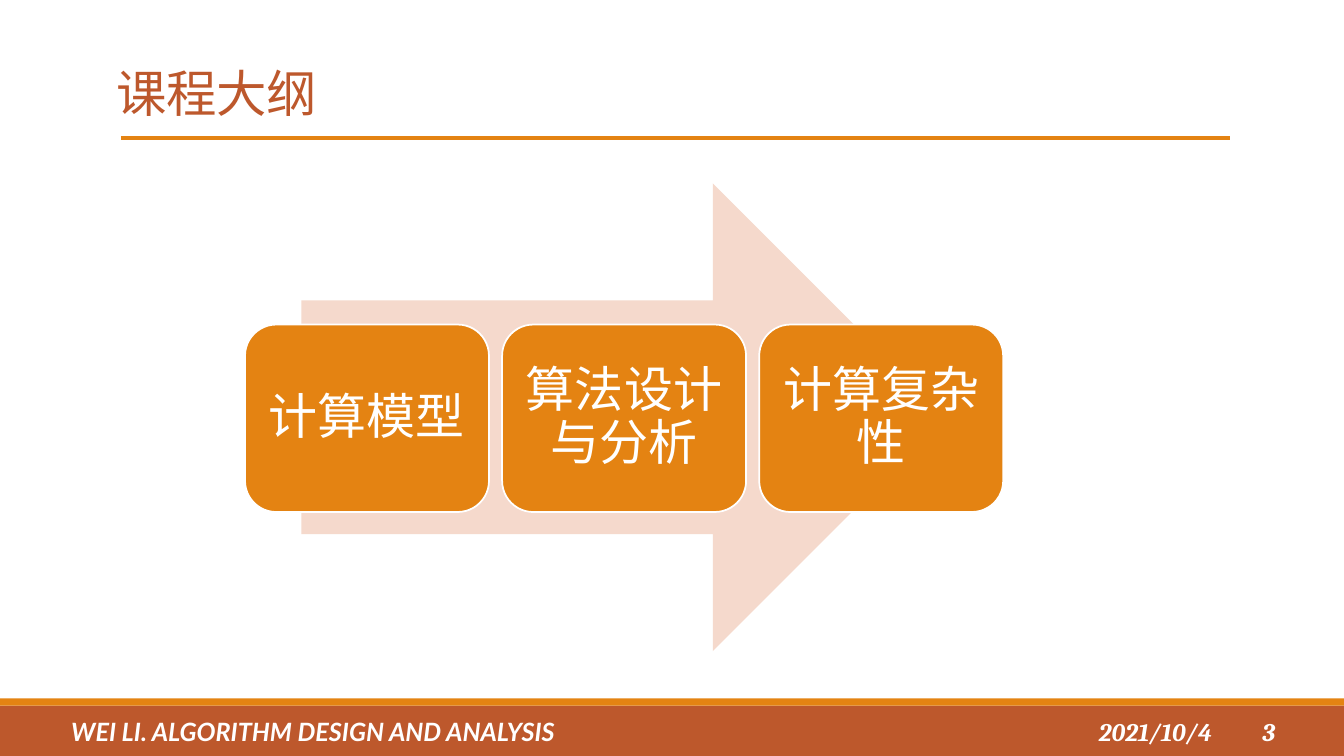
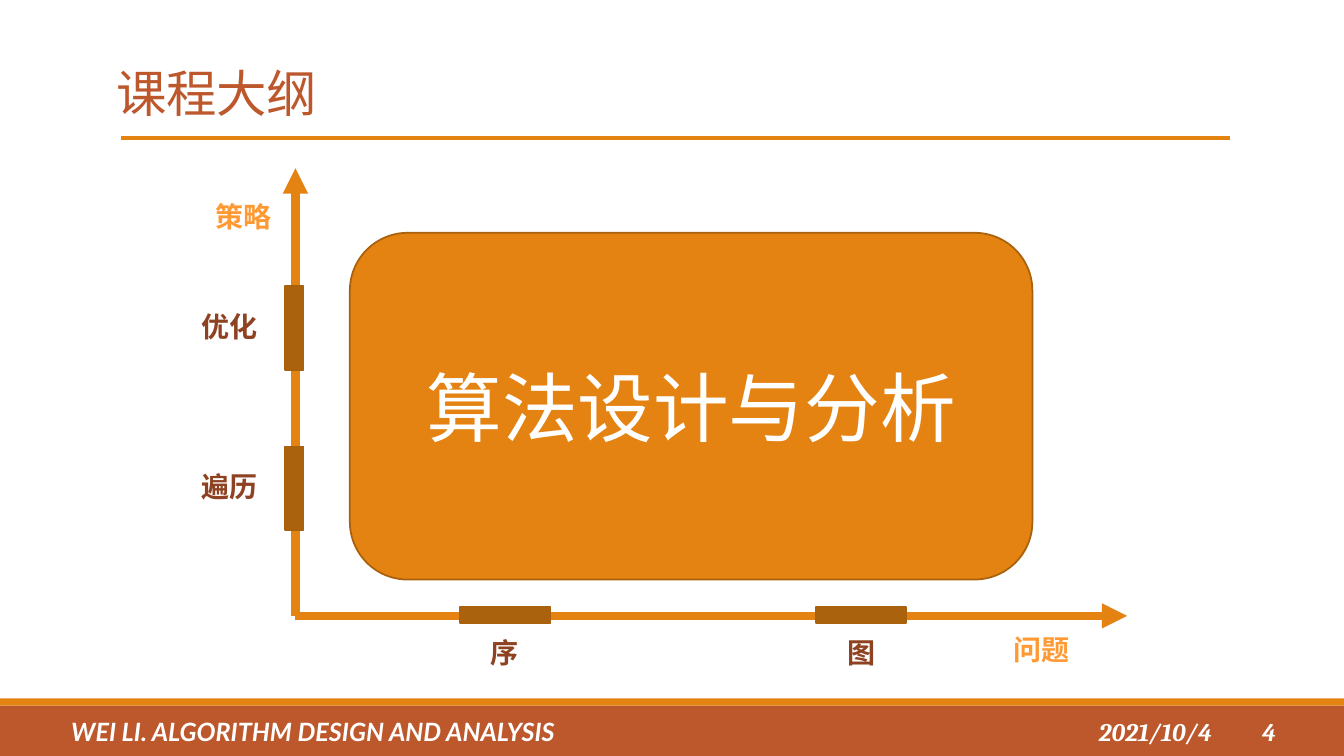
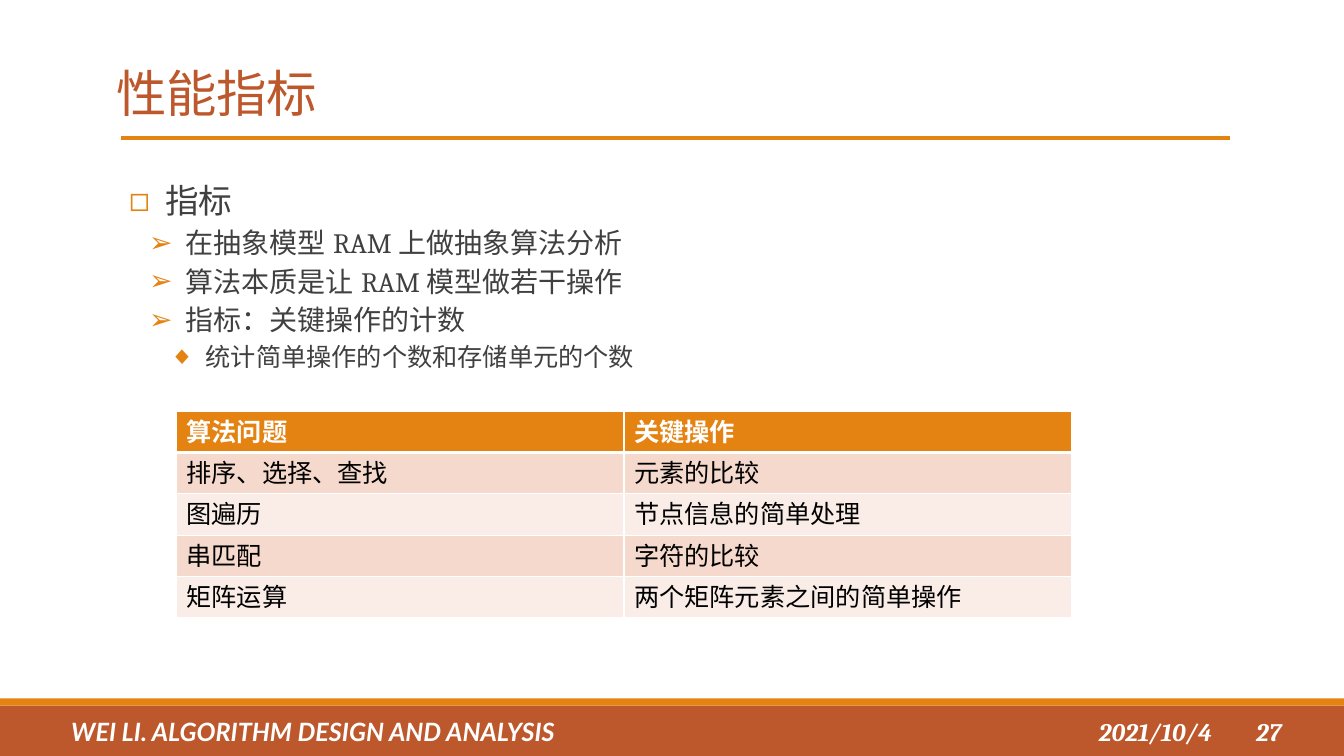
from pptx import Presentation
from pptx.dml.color import RGBColor
from pptx.enum.lang import MSO_LANGUAGE_ID
from pptx.enum.shapes import MSO_CONNECTOR, MSO_SHAPE
from pptx.enum.text import MSO_ANCHOR, MSO_AUTO_SIZE, PP_ALIGN
from pptx.oxml.ns import qn
from pptx.util import Inches, Pt
from lxml import etree

RUST = RGBColor(0xBD, 0x58, 0x2C)
ORANGE = RGBColor(0xE4, 0x83, 0x12)
BROWN = RGBColor(0xAB, 0x62, 0x0D)
EDGE = RGBColor(0xA9, 0x61, 0x0D)
AMBER = RGBColor(0xFF, 0x99, 0x33)
CHESTNUT = RGBColor(0x8E, 0x42, 0x21)
PEACH = RGBColor(0xF5, 0xD9, 0xCC)
PALE = RGBColor(0xFA, 0xED, 0xE7)
GRAY = RGBColor(0x40, 0x40, 0x40)
BLACK = RGBColor(0, 0, 0)
WHITE = RGBColor(0xFF, 0xFF, 0xFF)
SERIF, SANS = "Cambria", "Lato"
CHINESE = MSO_LANGUAGE_ID.SIMPLIFIED_CHINESE
LEFT, CENTER = PP_ALIGN.LEFT, PP_ALIGN.CENTER
TOP, MIDDLE, BOTTOM = MSO_ANCHOR.TOP, MSO_ANCHOR.MIDDLE, MSO_ANCHOR.BOTTOM
NO_FIT = MSO_AUTO_SIZE.NONE
RECT, ROUNDED, ARROW = MSO_SHAPE.RECTANGLE, MSO_SHAPE.ROUNDED_RECTANGLE, MSO_SHAPE.RIGHT_ARROW
STRAIGHT = MSO_CONNECTOR.STRAIGHT


def write(p, text, size, color, bold=False, italic=False, font=SERIF):
    r = p.add_run()
    r.text = text
    r.font.size = Pt(size)
    r.font.bold = bold
    r.font.italic = italic
    r.font.color.rgb = color
    r.font.name = font
    r.font.language_id = CHINESE
    rPr = r._r.get_or_add_rPr()
    etree.SubElement(rPr, qn("a:ea"), typeface=SANS)
    return rPr


def draw(s, kind, box, fill=None, line=None, width=1.25):
    if fill is None:
        sp = s.shapes.add_connector(kind, *map(Inches, box))
        etree.SubElement(sp._element.spPr, qn("a:effectLst"))
    else:
        sp = s.shapes.add_shape(kind, *map(Inches, box))
        sp.shadow.inherit = False
        sp.fill.solid()
        sp.fill.fore_color.rgb = fill
    if line is None:
        sp.line.fill.background()
    else:
        sp.line.color.rgb = line
        sp.line.width = Pt(width)
    return sp


prs = Presentation()
prs.slide_width = Inches(13.33)
prs.slide_height = Inches(7.5)

slides = []
for title, number, layout in [("课程大纲", "3", 5), ("课程大纲", "4", 5), ("性能指标", "27", 1)]:
    s = prs.slides.add_slide(prs.slide_layouts[layout])
    slides.append(s)
    sp = s.shapes.title
    sp.left, sp.top, sp.width, sp.height = map(Inches, (1.06, 0.31, 11.14, 0.96))
    tf = sp.text_frame
    tf.auto_size = NO_FIT
    tf.vertical_anchor = BOTTOM
    p = tf.paragraphs[0]
    p.alignment = LEFT
    p.line_spacing = 0.85
    write(p, title, 36, RUST).set("spc", "-50")
    for box, text, font in [
        ((10.7, 7.01, 1.52, 0.49), "2021/10/4", SERIF),
        ((0.02, 7.01, 6.17, 0.49), "WEI LI. ALGORITHM DESIGN AND ANALYSIS", SANS),
        ((12.21, 7.02, 0.75, 0.48), number, SERIF),
    ]:
        tf = s.shapes.add_textbox(*map(Inches, box)).text_frame
        tf.word_wrap = True
        tf.vertical_anchor = MIDDLE
        p = tf.paragraphs[0]
        p.alignment = CENTER
        write(p, text, 18, WHITE, True, True, font)

outline, axes, metrics = slides

master_tree = prs.slide_master.shapes.element
for sp in [
    draw(outline, RECT, (0, 7, 13.33, 0.5), RUST),
    draw(outline, RECT, (0, 6.93, 13.33, 0.07), ORANGE),
    draw(outline, STRAIGHT, (1.2, 1.37, 12.2, 1.37), line=ORANGE, width=2.25),
]:
    master_tree.append(sp.element)

draw(outline, ARROW, (2.99, 1.82, 6.4, 4.64), PEACH)
for i, topic in enumerate(["计算模型", "算法设计与分析", "计算复杂性"]):
    sp = draw(outline, ROUNDED, (2.43 + 2.55 * i, 3.22, 2.42, 1.86), ORANGE, WHITE)
    tf = sp.text_frame
    tf.word_wrap = True
    tf.margin_left = tf.margin_right = Inches(0.14)
    tf.vertical_anchor = MIDDLE
    p = tf.paragraphs[0]
    p.alignment = CENTER
    p.line_spacing = 0.9
    write(p, topic, 35, WHITE)

for end in [(11.18, 6.11), (2.93, 1.67)]:
    axis = draw(axes, STRAIGHT, (2.93, 6.11, *end), line=ORANGE, width=6)
    etree.SubElement(axis.line._get_or_add_ln(), qn("a:tailEnd"), type="triangle")
for x in (4.56, 8.09):
    draw(axes, RECT, (x, 6.02, 0.9, 0.16), BROWN, EDGE)
for y in (4.43, 2.84):
    draw(axes, RECT, (2.83, y, 0.18, 0.83), BROWN, EDGE)
for x, y, width, text, color in [
    (9.95, 6.23, 0.77, "问题", AMBER),
    (2.04, 1.93, 0.77, "策略", AMBER),
    (1.9, 4.61, 0.77, "遍历", CHESTNUT),
    (1.9, 3.02, 0.77, "优化", CHESTNUT),
    (4.77, 6.26, 0.48, "序", CHESTNUT),
    (8.31, 6.26, 0.48, "图", CHESTNUT),
]:
    tf = axes.shapes.add_textbox(*map(Inches, (x, y, width, 0.44))).text_frame
    tf.word_wrap = False
    write(tf.paragraphs[0], text, 20, color, True)
sp = draw(axes, ROUNDED, (3.47, 2.31, 6.77, 3.44), ORANGE, EDGE)
tf = sp.text_frame
tf.vertical_anchor = MIDDLE
p = tf.paragraphs[0]
p.alignment = CENTER
write(p, "算法设计与分析", 54, WHITE)

body = metrics.placeholders[1]
body.left, body.top, body.width, body.height = map(Inches, (1.06, 1.78, 11.14, 4.61))
tf = body.text_frame
tf.auto_size = NO_FIT
tf.vertical_anchor = TOP
tf.margin_left = tf.margin_right = 0
LEVELS = [("◻", 24), ("➢", 20), ("◆", 18)]
for i, (level, text) in enumerate([
    (0, "指标"),
    (1, "在抽象模型 RAM 上做抽象算法分析"),
    (1, "算法本质是让 RAM 模型做若干操作"),
    (1, "指标：关键操作的计数"),
    (2, "统计简单操作的个数和存储单元的个数"),
]):
    p = tf.add_paragraph() if i else tf.paragraphs[0]
    bullet, size = LEVELS[level]
    p.level = level
    p.line_spacing = 0.9
    p.space_before = Pt(2)
    p.space_after = Pt(4)
    pPr = p._p.get_or_add_pPr()
    pPr.set("marL", str(Inches(0.58 + 0.2 * level)))
    pPr.set("indent", str(Inches(-0.36)))
    bu_color = etree.SubElement(pPr, qn("a:buClr"))
    etree.SubElement(bu_color, qn("a:srgbClr"), val=str(ORANGE))
    etree.SubElement(pPr, qn("a:buChar"), char=bullet)
    write(p, text, size, GRAY)

ROWS = [
    ("算法问题", "关键操作"),
    ("排序、选择、查找", "元素的比较"),
    ("图遍历", "节点信息的简单处理"),
    ("串匹配", "字符的比较"),
    ("矩阵运算", "两个矩阵元素之间的简单操作"),
]
frame = metrics.shapes.add_table(5, 2, *map(Inches, (1.75, 4.08, 8.88, 2.05)))
for i, row in enumerate(ROWS):
    for j, text in enumerate(row):
        cell = frame.table.cell(i, j)
        tcPr = cell._tc.get_or_add_tcPr()
        for side in ("lnL", "lnR", "lnT", "lnB"):
            thick = (i, side) in [(0, "lnB"), (1, "lnT")]
            ln = etree.SubElement(tcPr, qn("a:" + side), w=str(Pt(3 if thick else 1)))
            ln_fill = etree.SubElement(ln, qn("a:solidFill"))
            etree.SubElement(ln_fill, qn("a:srgbClr"), val=str(WHITE))
        cell.fill.solid()
        cell.fill.fore_color.rgb = ORANGE if i == 0 else PEACH if i % 2 else PALE
        write(cell.text_frame.paragraphs[0], text, 18, BLACK if i else WHITE, i == 0)

prs.save("out.pptx")
